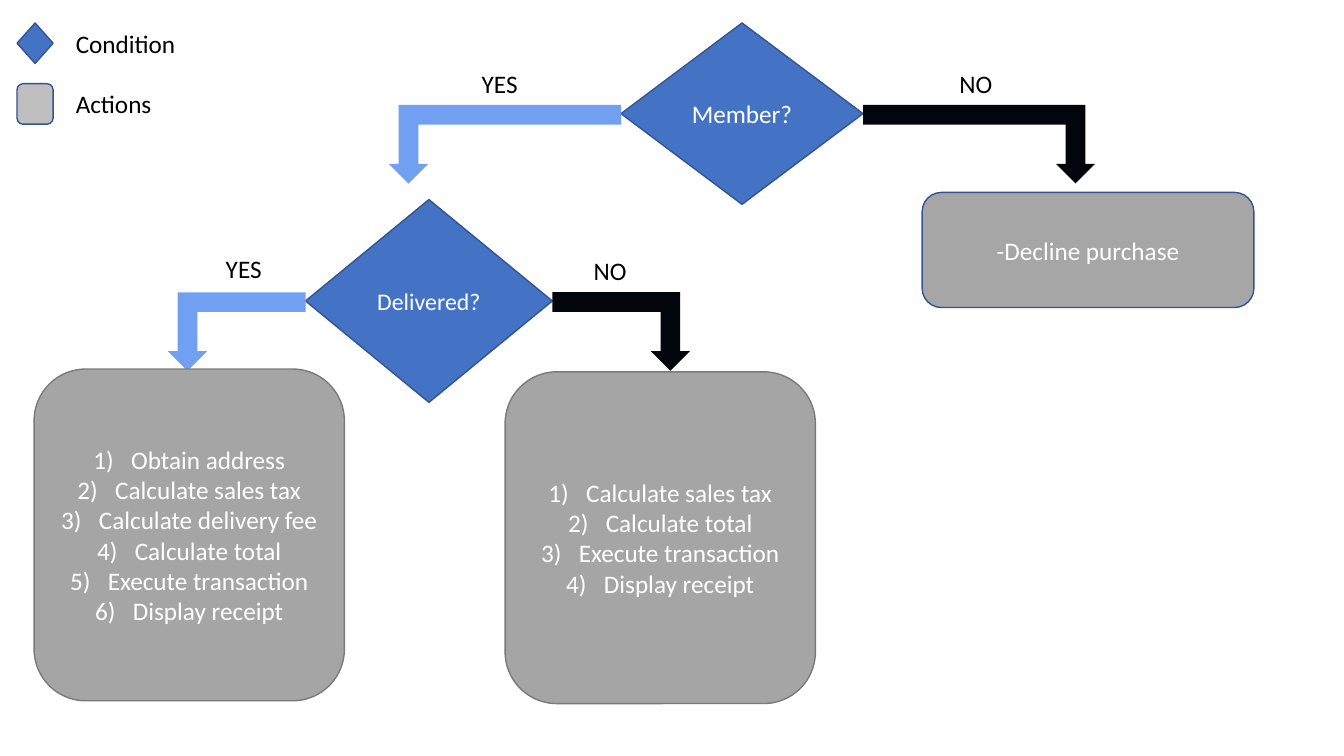
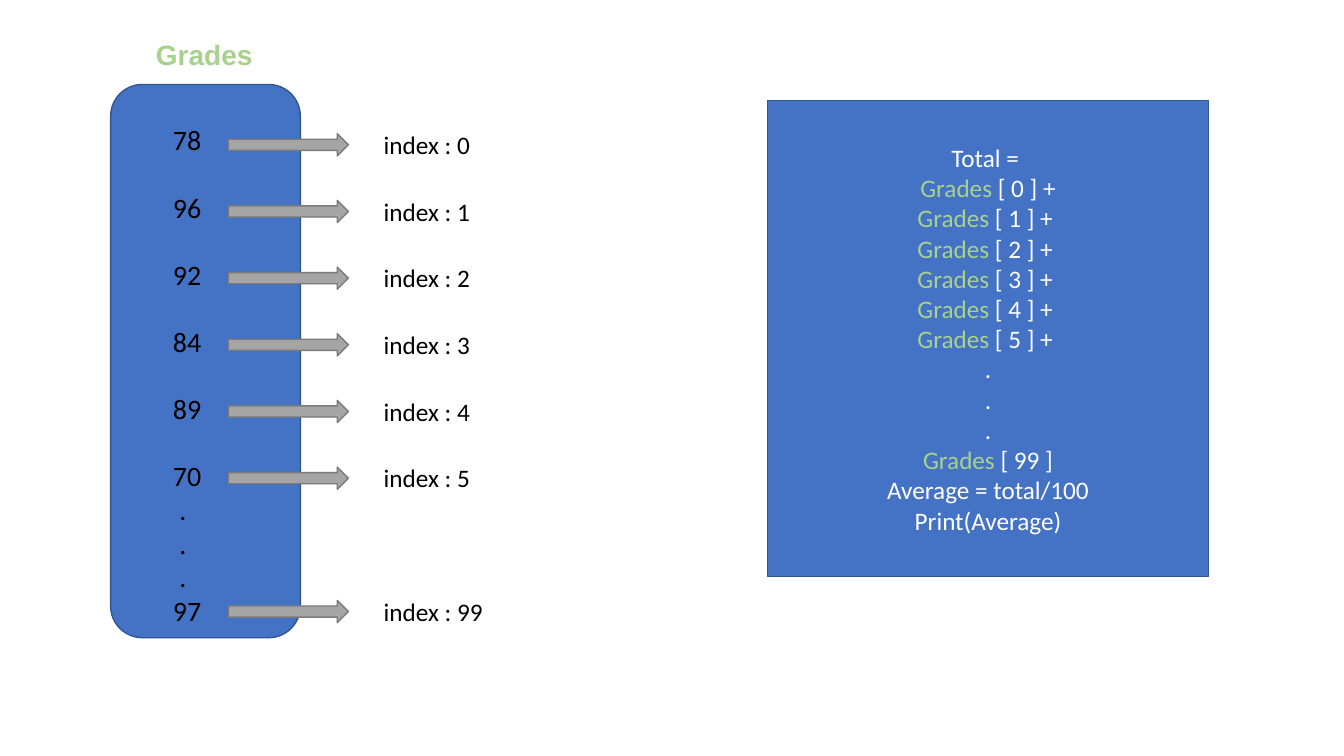
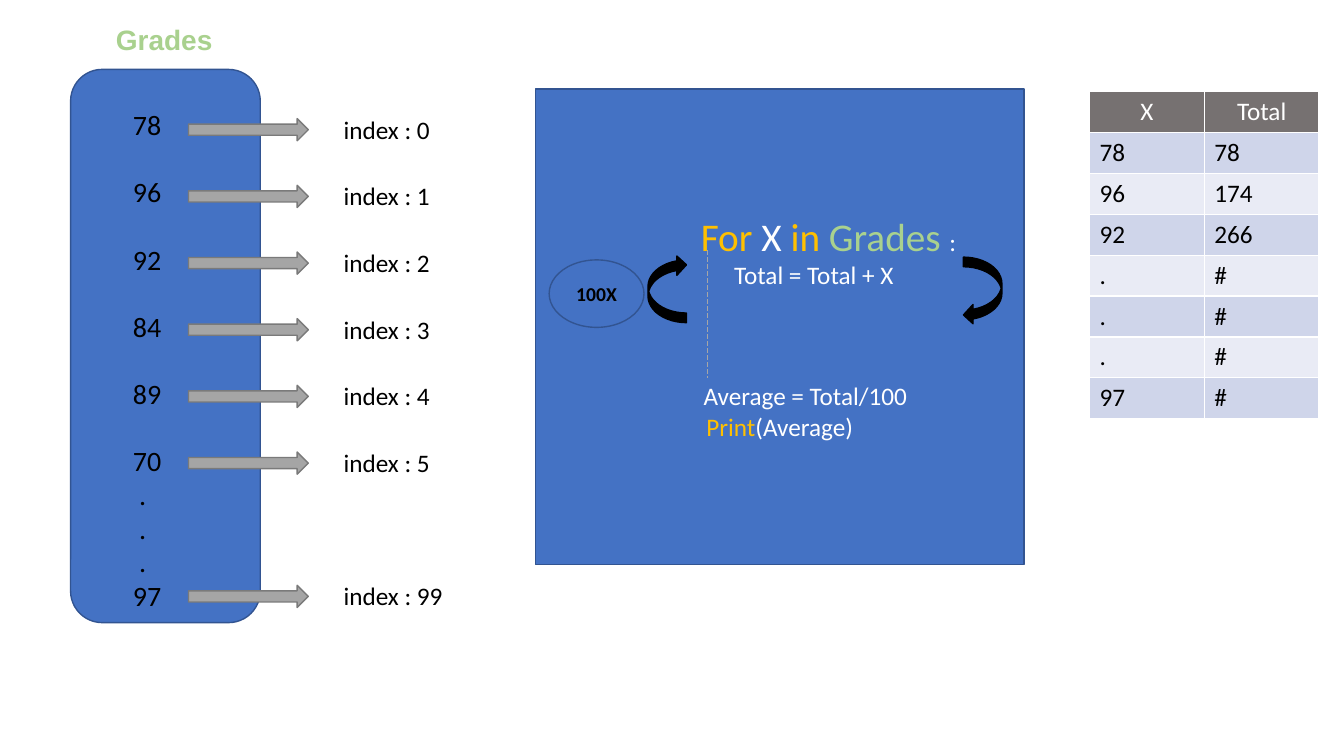
from dataclasses import dataclass
from typing import NamedTuple

from lxml.etree import SubElement
from pptx import Presentation
from pptx.dml.color import RGBColor
from pptx.enum.dml import MSO_LINE
from pptx.enum.shapes import MSO_CONNECTOR, MSO_SHAPE
from pptx.enum.text import MSO_ANCHOR, PP_ALIGN
from pptx.oxml.ns import qn
from pptx.util import Cm, Pt


@dataclass(frozen=True)
class Theme:
    blue: str = "4472C4"
    outline: str = "325491"
    grey: str = "A5A5A5"
    grey_outline: str = "7A7A7A"
    decline: str = "A6A6A6"
    legend: str = "BFBFBF"
    yes: str = "71A0F3"
    no: str = "02050C"
    black: str = "000000"
    white: str = "FFFFFF"
    green: str = "A9D18E"
    gold: str = "FFC000"
    header: str = "767171"
    bands: tuple = ("CFD5EA", "E9EBF5")
    font: str = "Calibri"
    title_font: str = "Arial"
    body: int = 18
    condition: int = 17
    value: int = 20
    badge: int = 14
    loop: int = 28


THEME = Theme()


class Span(NamedTuple):
    text: str
    color: str = THEME.white
    size: int = THEME.body
    bold: bool = False
    font: str = THEME.font


class Line(NamedTuple):
    spans: list
    indent: float = 0
    after: float = 0
    numbered: bool = False


def plain(text, color=THEME.white, size=THEME.body, **style):
    return Line([Span(text, color, size)], **style)


class Painter:
    def __init__(self):
        self.deck = Presentation()
        self.deck.slide_width, self.deck.slide_height = Cm(33.87), Cm(19.05)
        self.page = None

    def new_page(self):
        self.page = self.deck.slides.add_slide(self.deck.slide_layouts[6])

    def fill_text(self, frame, lines, align):
        frame.word_wrap = True
        for index, line in enumerate(lines):
            para = frame.add_paragraph() if index else frame.paragraphs[0]
            para.alignment = align
            para.space_after = Pt(line.after)
            properties = para._p.get_or_add_pPr()
            if line.indent:
                properties.set("marL", str(int(Cm(line.indent))))
            if line.numbered:
                properties.set("indent", str(-int(Cm(line.indent))))
                SubElement(properties, qn("a:buAutoNum"), type="arabicParenR")
            for span in line.spans:
                run = para.add_run()
                run.text = span.text
                run.font.name = span.font
                run.font.size = Pt(span.size)
                run.font.bold = span.bold
                run.font.color.rgb = RGBColor.from_string(span.color)

    def shape(self, kind, left, top, width, height, fill=THEME.blue,
              outline=THEME.outline, lines=()):
        box = self.page.shapes.add_shape(kind, Cm(left), Cm(top), Cm(width), Cm(height))
        box.shadow.inherit = False
        box.fill.solid()
        box.fill.fore_color.rgb = RGBColor.from_string(fill)
        if outline:
            box.line.color.rgb = RGBColor.from_string(outline)
            box.line.width = Pt(1)
        else:
            box.line.fill.background()
        box.text_frame.vertical_anchor = MSO_ANCHOR.MIDDLE
        self.fill_text(box.text_frame, lines, PP_ALIGN.CENTER)
        return box

    def text(self, left, top, width, height, lines):
        box = self.page.shapes.add_textbox(Cm(left), Cm(top), Cm(width), Cm(height))
        self.fill_text(box.text_frame, lines, PP_ALIGN.LEFT)

    def label(self, left, top, text, width=3.0):
        self.text(left, top, width, 1.02, [plain(text, THEME.black)])

    def decision(self, left, top, width, height, line, reach):
        self.shape(MSO_SHAPE.DIAMOND, left, top, width, height, lines=[line])
        arrow_top = top + height / 2 - 0.22
        yes = self.shape(MSO_SHAPE.BENT_UP_ARROW, left - reach, arrow_top,
                         reach, 1.98, THEME.yes, None)
        yes.rotation = 180
        no = self.shape(MSO_SHAPE.BENT_UP_ARROW, left + width, arrow_top,
                        reach, 1.98, THEME.no, None)
        no._element.spPr.find(qn("a:xfrm")).set("flipV", "1")

    def steps(self, left, top, items):
        lines = [plain(item, indent=0.95, numbered=True) for item in items]
        self.shape(MSO_SHAPE.ROUNDED_RECTANGLE, left, top, 7.82, 8.36,
                   THEME.grey, THEME.grey_outline, lines)

    def grades(self, left, top):
        self.shape(MSO_SHAPE.ROUNDED_RECTANGLE, left, top, 4.78, 13.94)
        values = [plain(value, THEME.black, THEME.value, after=24)
                  for value in ("78", "96", "92", "84", "89")]
        values += [plain(value, THEME.black, THEME.value)
                   for value in ("70", " .", " .", " .", "97")]
        self.text(left + 1.32, top + 0.84, 4.32, 13.08, values)
        title = Span("Grades", THEME.green, THEME.value, True, THEME.title_font)
        self.text(left + 0.89, top - 1.32, 3.1, 1.12, [Line([title])])
        for slot, index in enumerate((0, 1, 2, 3, 4, 5, None, 99)):
            if index is None:
                continue
            arrow_top = top + 1.24 + 1.68 * slot
            self.shape(MSO_SHAPE.RIGHT_ARROW, left + 2.97, arrow_top, 3.02, 0.56,
                       THEME.grey, THEME.grey_outline)
            self.label(left + 6.63, arrow_top - 0.24, f"index : {index}", 4.06)

    def dashed_line(self, left, top, bottom):
        line = self.page.shapes.add_connector(
            MSO_CONNECTOR.STRAIGHT, Cm(left), Cm(top), Cm(left), Cm(bottom))
        line.line.color.rgb = RGBColor.from_string(THEME.decline)
        line.line.width = Pt(1.25)
        line.line.dash_style = MSO_LINE.SQUARE_DOT
        SubElement(line._element.spPr, qn("a:effectLst"))

    def table(self, left, top, column_width, row_height, rows):
        columns = len(rows[0])
        table = self.page.shapes.add_table(
            len(rows), columns, Cm(left), Cm(top),
            Cm(column_width * columns), Cm(row_height * len(rows))).table
        for column in table.columns:
            column.width = Cm(column_width)
        for row_index, row in enumerate(rows):
            table.rows[row_index].height = Cm(row_height)
            header = row_index == 0
            fill = THEME.header if header else THEME.bands[(row_index - 1) % 2]
            color = THEME.white if header else THEME.black
            align = PP_ALIGN.CENTER if header else PP_ALIGN.LEFT
            for column_index, value in enumerate(row):
                cell = table.cell(row_index, column_index)
                cell.fill.solid()
                cell.fill.fore_color.rgb = RGBColor.from_string(fill)
                self.fill_text(cell.text_frame, [plain(value, color)], align)


def purchase_page(painter):
    painter.new_page()
    painter.decision(15.65, 0.58, 6.1, 4.57, plain("Member?"), 5.85)
    painter.decision(7.7, 5.03, 6.22, 5.11,
                     plain("Delivered?", size=THEME.condition), 3.47)
    painter.steps(0.86, 9.3, (
        "Obtain address", "Calculate sales tax", "Calculate delivery fee",
        "Calculate total", "Execute transaction", "Display receipt"))
    painter.steps(12.73, 9.37, (
        "Calculate sales tax", "Calculate total", "Execute transaction",
        "Display receipt"))
    painter.shape(MSO_SHAPE.ROUNDED_RECTANGLE, 23.24, 4.85, 8.36, 2.9,
                  THEME.decline, lines=[plain("-Decline purchase")])
    for left, top, answer in ((11.89, 1.6, "YES"), (5.44, 6.27, "YES"),
                              (14.71, 6.3, "NO"), (23.93, 1.6, "NO")):
        painter.label(left, top, answer)
    for top, kind, fill, name in (
            (0.58, MSO_SHAPE.DIAMOND, THEME.blue, "Condition"),
            (2.11, MSO_SHAPE.ROUNDED_RECTANGLE, THEME.legend, "Actions")):
        painter.shape(kind, 0.43, top, 0.91, 1.02, fill)
        painter.label(1.66, top, name, 3.07)


def sum_page(painter):
    painter.new_page()
    painter.grades(2.79, 2.13)
    endings = [" [ 0 ] +"] + [f" [ {index} ] + " for index in range(1, 6)]
    grade = Span("Grades", THEME.green)
    lines = [plain("Total = ")]
    lines += [Line([grade, Span(ending)]) for ending in endings]
    lines += [plain(".")] * 3
    lines += [Line([grade, Span(" [ 99 ]")]),
              plain("Average = total/100"), plain("Print(Average)")]
    painter.shape(MSO_SHAPE.RECTANGLE, 19.35, 2.54, 11.1, 11.99, lines=lines)


def loop_page(painter):
    painter.new_page()
    loop = Line([Span("For", THEME.gold, THEME.loop),
                 Span(" X ", THEME.white, THEME.loop),
                 Span("in ", THEME.gold, THEME.loop),
                 Span("Grades ", THEME.green, THEME.loop),
                 Span(":")], indent=2.46)
    painter.shape(MSO_SHAPE.RECTANGLE, 13.49, 2.24, 12.32, 11.99, lines=[
        loop,
        plain("Total = Total + X", indent=1.72, after=65),
        plain("Average = Total/100", indent=1.29),
        Line([Span("Print", THEME.gold), Span("(Average)")])])
    painter.dashed_line(17.83, 6.3, 9.53)
    painter.table(27.46, 2.31, 2.89, 1.03, (
        ("X", "Total"), ("78", "78"), ("96", "174"), ("92", "266"),
        (".", "#"), (".", "#"), (".", "#"), ("97", "#")))
    painter.grades(1.78, 1.75)
    for left, top, angle in ((24.28, 6.48, 0), (16.33, 6.43, 180)):
        turn = painter.shape(MSO_SHAPE.CURVED_LEFT_ARROW, left, top, 0.97, 1.7,
                             THEME.black, THEME.black)
        turn.rotation = angle
    badge = Span("100X", THEME.black, THEME.badge, True)
    painter.shape(MSO_SHAPE.OVAL, 13.84, 6.55, 2.39, 1.7, lines=[Line([badge])])


def main():
    painter = Painter()
    purchase_page(painter)
    sum_page(painter)
    loop_page(painter)
    painter.deck.save("out.pptx")


if __name__ == "__main__":
    main()
